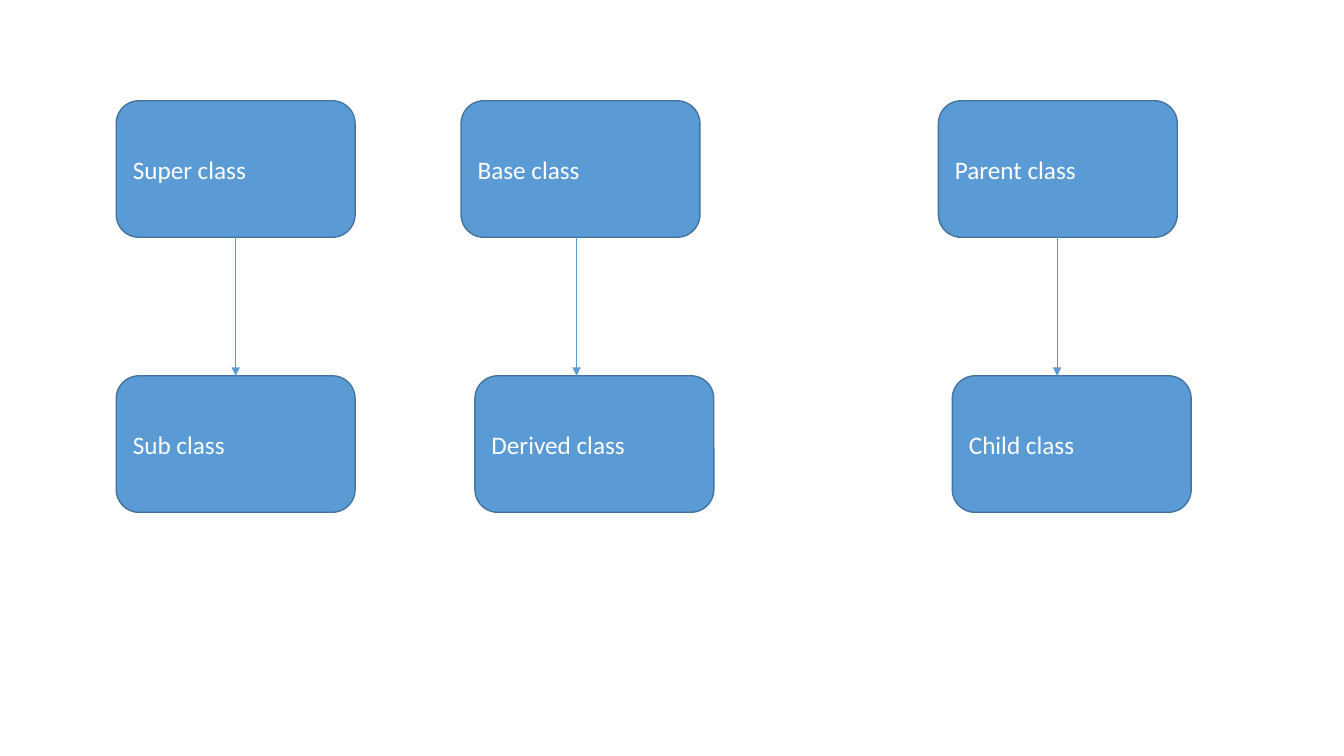
from lxml import etree
from pptx import Presentation
from pptx.dml.color import RGBColor
from pptx.enum.shapes import MSO_CONNECTOR, MSO_SHAPE
from pptx.enum.text import MSO_ANCHOR, PP_ALIGN
from pptx.oxml.ns import qn
from pptx.util import Cm, Pt

ROUNDED = MSO_SHAPE.ROUNDED_RECTANGLE
STRAIGHT = MSO_CONNECTOR.STRAIGHT
MIDDLE = MSO_ANCHOR.MIDDLE
LEFT = PP_ALIGN.LEFT

COLORS = {"box": "5B9BD5", "border": "43739E", "arrow": "5B9BD5", "text": "FFFFFF"}
FONT_FORMAT = {"name": "Calibri", "size": Pt(18)}
FRAME_FORMAT = {"word_wrap": True, "vertical_anchor": MIDDLE}

# Box size and the two rows, in centimetres
BOX_WIDTH, BOX_HEIGHT = 6.02, 3.44
PARENT_TOP, CHILD_TOP = 2.54, 9.47


def apply_format(target, values):
    for name, value in values.items():
        setattr(target, name, value)


class ClassDiagram:
    """Holds the style and the current slide."""

    def __init__(self, slide, colors):
        self.slide = slide
        self.colors = {name: RGBColor.from_string(value) for name, value in colors.items()}

    def style_line(self, line, color, width):
        line.color.rgb = self.colors[color]
        line.width = Pt(width)

    def box(self, text, left, top):
        shape = self.slide.shapes.add_shape(
            ROUNDED, Cm(left), Cm(top), Cm(BOX_WIDTH), Cm(BOX_HEIGHT))
        shape.shadow.inherit = False
        shape.fill.solid()
        shape.fill.fore_color.rgb = self.colors["box"]
        self.style_line(shape.line, "border", 1)
        apply_format(shape.text_frame, FRAME_FORMAT)
        paragraph = shape.text_frame.paragraphs[0]
        paragraph.alignment = LEFT
        run = paragraph.add_run()
        run.text = text
        apply_format(run.font, FONT_FORMAT)
        run.font.color.rgb = self.colors["text"]

    def arrow(self, x, top, bottom):
        connector = self.slide.shapes.add_connector(
            STRAIGHT, Cm(x), Cm(top), Cm(x), Cm(bottom))
        self.style_line(connector.line, "arrow", 0.5)
        properties = connector._element.spPr
        etree.SubElement(properties.find(qn("a:ln")), qn("a:tailEnd"), type="triangle")
        etree.SubElement(properties, qn("a:effectLst"))


presentation = Presentation()
presentation.slide_width, presentation.slide_height = Cm(33.87), Cm(19.05)
blank_layout = presentation.slide_layouts[6]
diagram = ClassDiagram(presentation.slides.add_slide(blank_layout), COLORS)

# Each pair: upper name and left, lower name and left, arrow position
class_pairs = [
    ("Super class", 2.93, "Sub class", 2.93, 5.94),
    ("Base class", 11.62, "Derived class", 11.97, 14.53),
    ("Parent class", 23.65, "Child class", 24, 26.64),
]
for parent, parent_left, child, child_left, arrow_x in class_pairs:
    diagram.box(parent, parent_left, PARENT_TOP)
    diagram.box(child, child_left, CHILD_TOP)
    diagram.arrow(arrow_x, PARENT_TOP + BOX_HEIGHT, CHILD_TOP)

presentation.save("out.pptx")
